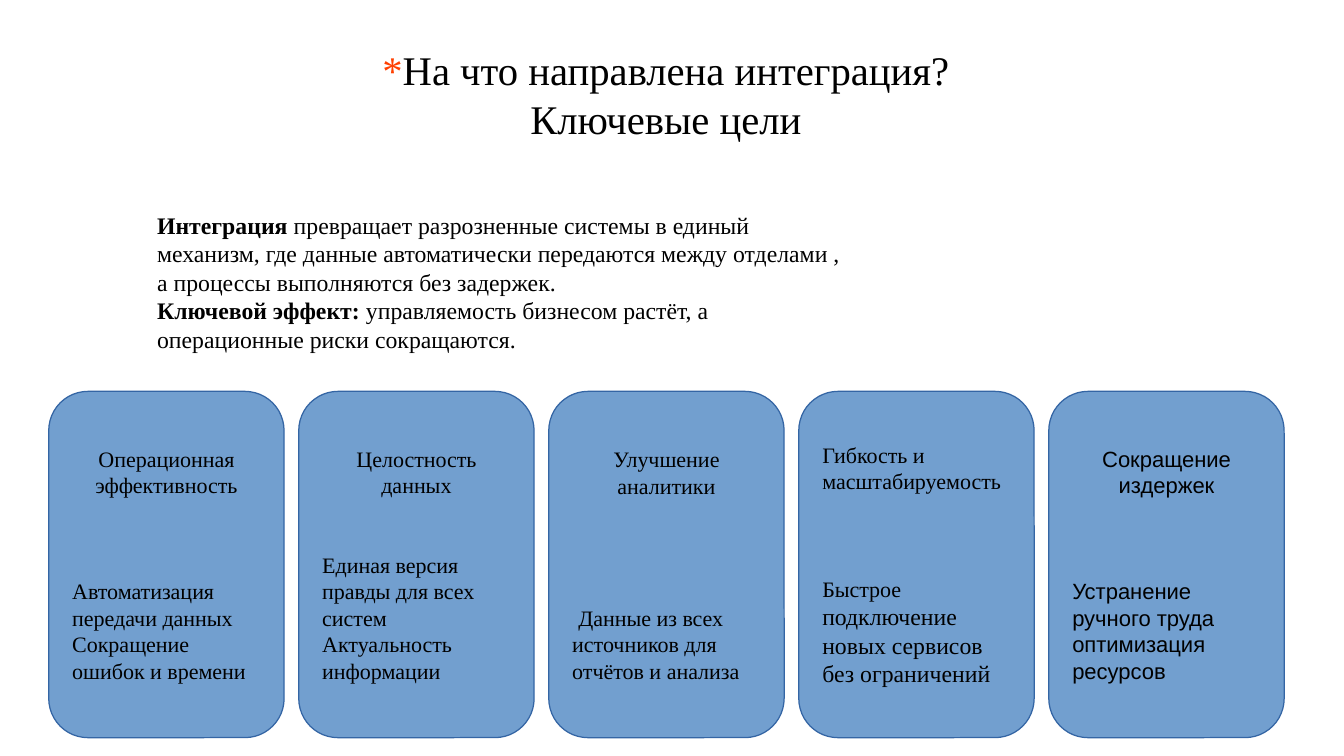
from pptx import Presentation
from pptx.dml.color import RGBColor
from pptx.enum import shapes, text
from pptx.util import Inches, Pt

COLORS = {"ink": "000000", "star": "FF4000", "card": "729FCF", "edge": "3465A4", "paper": "FFFFFF"}
SERIF, SANS = "Times New Roman", "Arial"
LEFT, CENTER = text.PP_ALIGN.LEFT, text.PP_ALIGN.CENTER

TITLE = [("*", "star"), ("На что направлена интеграция?\vКлючевые цели", "ink")]
INTRO = [
    ("Интеграция", " превращает разрозненные системы в единый механизм, где данные "
     "автоматически передаются между отделами , а процессы выполняются без задержек."),
    ("Ключевой эффект:", " управляемость бизнесом растёт, а операционные риски сокращаются."),
]
CARDS = [
    {"head": "Операционная эффективность", "gap": 3,
     "body": [["Автоматизация передачи данных"], ["Сокращение ошибок и времени"]]},
    {"head": "Целостность данных", "gap": 2,
     "body": [["Единая версия правды для всех систем"], ["Актуальность информации"]]},
    {"head": "Улучшение аналитики", "gap": 4, "indent": 0.05,
     "body": [["Данные из всех источников для отчётов и анализа"]]},
    {"head": "Гибкость и масштабируемость", "gap": 3, "align": LEFT,
     "body": [["Быстрое", " подключение новых сервисов без ограничений"]]},
    {"head": "Сокращение издержек", "gap": 3, "font": SANS,
     "body": [["Устранение ручного труда оптимизация ресурсов"]]},
]
RUN_SIZES = (13, 14)
LINE = 15.6
X, Y, STEP, WIDTH, HEIGHT = 0.4, 3.21, 2.05, 1.93, 2.84


def color(name):
    return RGBColor.from_string(COLORS[name])


def add_par(frame, first, align=LEFT, font=SERIF, size=13):
    par = frame.paragraphs[0] if first else frame.add_paragraph()
    par.alignment = align
    par.font.name = font
    par.font.size = Pt(size)
    par.font.color.rgb = color("ink")
    return par


def add_run(par, words):
    run = par.add_run()
    run.text = words
    return run


def add_box(slide, *place):
    box = slide.shapes.add_textbox(*map(Inches, place))
    box.text_frame.word_wrap = True
    return box


def add_title(slide):
    box = add_box(slide, 0.5, 0.25, 9.92, 1.04)
    box.fill.solid()
    box.fill.fore_color.rgb = color("paper")
    frame = box.text_frame
    frame.vertical_anchor = text.MSO_ANCHOR.MIDDLE
    frame.margin_left = frame.margin_right = frame.margin_top = frame.margin_bottom = 0
    par = add_par(frame, True, CENTER, size=24)
    for words, tint in TITLE:
        for i, part in enumerate(words.split("\v")):
            if i:
                par.add_line_break()
            add_run(par, part).font.color.rgb = color(tint)


def add_intro(slide):
    frame = add_box(slide, 1.19, 1.68, 5.84, 1.17).text_frame
    for i, (label, words) in enumerate(INTRO):
        par = add_par(frame, i == 0, size=14)
        add_run(par, label).font.bold = True
        add_run(par, words)


def add_card(slide, i, card):
    shape = slide.shapes.add_shape(
        shapes.MSO_SHAPE.ROUNDED_RECTANGLE,
        Inches(X + i * STEP), Inches(Y), Inches(WIDTH), Inches(HEIGHT))
    shape.shadow.inherit = False
    shape.fill.solid()
    shape.fill.fore_color.rgb = color("card")
    shape.line.color.rgb = color("edge")
    shape.line.width = Pt(0)
    frame = shape.text_frame
    frame.word_wrap = True
    frame.vertical_anchor = text.MSO_ANCHOR.MIDDLE
    font = card.get("font", SERIF)
    add_run(add_par(frame, True, card.get("align", CENTER), font), card["head"])
    for n, parts in enumerate(card["body"]):
        par = add_par(frame, False, LEFT, font)
        if n == 0:
            par.space_before = Pt(card["gap"] * LINE)
            if "indent" in card:
                par._p.get_or_add_pPr().set("indent", str(Inches(card["indent"])))
        for words, size in zip(parts, RUN_SIZES):
            add_run(par, words).font.size = Pt(size)


def main():
    deck = Presentation()
    deck.slide_width, deck.slide_height = Inches(11.02), Inches(6.2)
    slide = deck.slides.add_slide(deck.slide_layouts[6])
    add_title(slide)
    for i, card in enumerate(CARDS):
        add_card(slide, i, card)
    add_intro(slide)
    deck.save("out.pptx")


if __name__ == "__main__":
    main()
